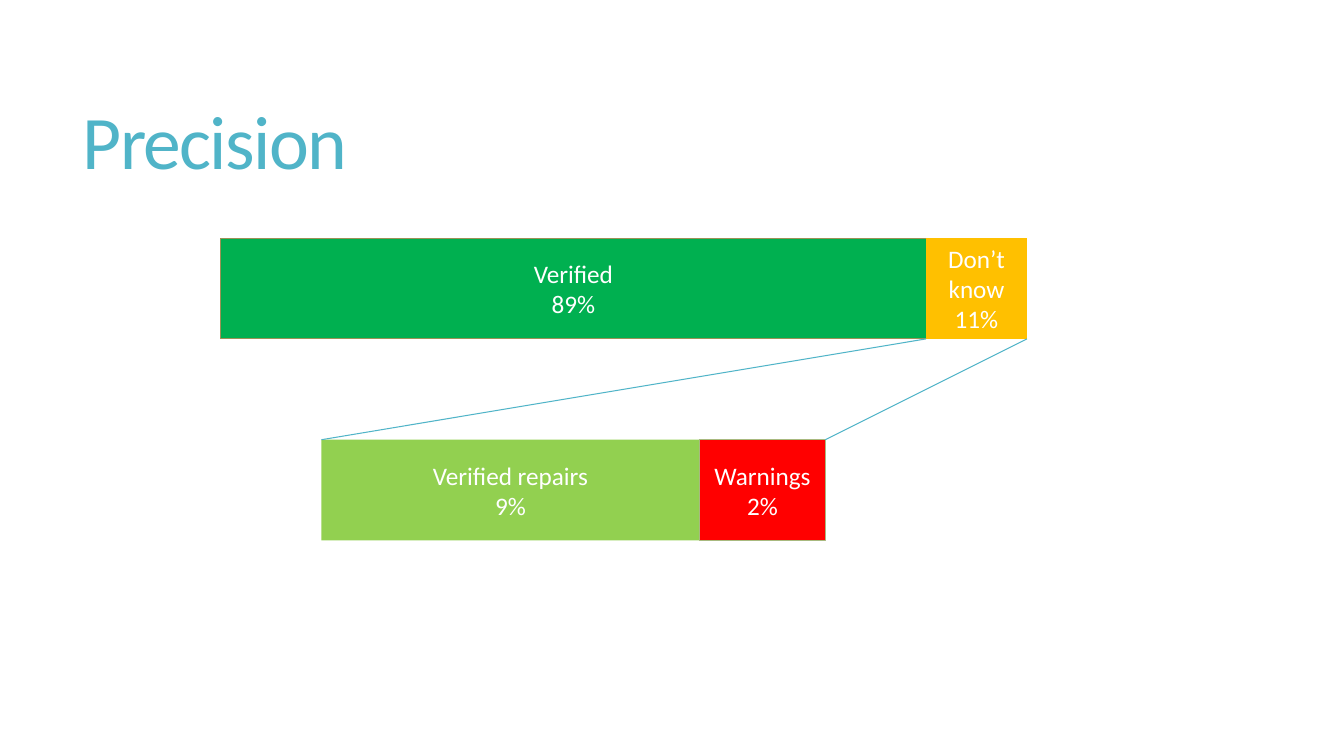
from lxml.etree import SubElement
from pptx import Presentation
from pptx.dml.color import RGBColor
from pptx.enum.shapes import MSO_CONNECTOR, MSO_SHAPE
from pptx.enum.text import MSO_ANCHOR, PP_ALIGN
from pptx.oxml.ns import qn
from pptx.util import Cm, Pt

FONT = "Calibri"
TEAL = RGBColor(0x50, 0xB4, 0xC8)
WHITE = RGBColor(0xFF, 0xFF, 0xFF)
GREEN = RGBColor(0x00, 0xB0, 0x50)
AMBER = RGBColor(0xFF, 0xC0, 0x00)
LIME = RGBColor(0x92, 0xD0, 0x50)
RED = RGBColor(0xFF, 0x00, 0x00)
OLIVE = RGBColor(0x9B, 0x92, 0x56)
SAGE = RGBColor(0xA8, 0xB9, 0x7F)

# Content: each segment is label, share, width in cm, fill, outline
TITLE = "Precision"
OVERALL = [
    ("Verified", "89%", 17.78, GREEN, OLIVE),
    ("Don’t know", "11%", 2.54, AMBER, None),
]
BREAKDOWN = [
    ("Verified repairs", "9%", 9.53, LIME, None),
    ("Warnings", "2%", 3.17, RED, SAGE),
]

# Layout in cm
BAR_HEIGHT = 2.54
OVERALL_LEFT, OVERALL_TOP = 5.56, 6
BREAKDOWN_LEFT = OVERALL_LEFT + BAR_HEIGHT
BREAKDOWN_TOP = OVERALL_TOP + 2 * BAR_HEIGHT


def add_bar(page, segments, left, top):
    """Draw segments side by side and return the x positions of their edges."""
    edges = [left]
    for label, share, width, fill, outline in segments:
        box = page.shapes.add_shape(MSO_SHAPE.RECTANGLE, Cm(edges[-1]), Cm(top),
                                    Cm(width), Cm(BAR_HEIGHT))
        box.shadow.inherit = False
        box.fill.solid()
        box.fill.fore_color.rgb = fill
        if outline is None:
            box.line.fill.background()
        else:
            box.line.color.rgb = outline
            box.line.width = Pt(0.75)
        frame = box.text_frame
        frame.word_wrap = True
        frame.vertical_anchor = MSO_ANCHOR.MIDDLE
        frame.text = f"{label}\n{share}"
        for para in frame.paragraphs:
            para.alignment = PP_ALIGN.CENTER
            for span in para.runs:
                span.font.name = FONT
                span.font.size = Pt(18)
                span.font.color.rgb = WHITE
        edges.append(edges[-1] + width)
    return edges


deck = Presentation()
deck.slide_width, deck.slide_height = Cm(33.87), Cm(19.05)
page = deck.slides.add_slide(deck.slide_layouts[5])

# Title
title = page.shapes.title
title.left, title.top, title.width, title.height = Cm(1.83), Cm(1.4), Cm(29.92), Cm(4.6)
title.text_frame.text = TITLE
title.text_frame.vertical_anchor = MSO_ANCHOR.MIDDLE
para = title.text_frame.paragraphs[0]
para.alignment = PP_ALIGN.LEFT
para.line_spacing = 0.85
span = para.runs[0]
span.font.name = FONT
span.font.size = Pt(54)
span.font.color.rgb = TEAL
span._r.get_or_add_rPr().set("spc", "-120")

# Bars
overall_edges = add_bar(page, OVERALL, OVERALL_LEFT, OVERALL_TOP)
breakdown_edges = add_bar(page, BREAKDOWN, BREAKDOWN_LEFT, BREAKDOWN_TOP)

# Lines from the breakdown's outer corners to the last overall segment
outer_edges = (breakdown_edges[0], breakdown_edges[-1])
for start, end in zip(outer_edges, overall_edges[-2:]):
    line = page.shapes.add_connector(MSO_CONNECTOR.STRAIGHT, Cm(start), Cm(BREAKDOWN_TOP),
                                     Cm(end), Cm(OVERALL_TOP + BAR_HEIGHT))
    line.line.color.rgb = TEAL
    line.line.width = Pt(0.75)
    SubElement(line._element.spPr, qn("a:effectLst"))

deck.save("out.pptx")
